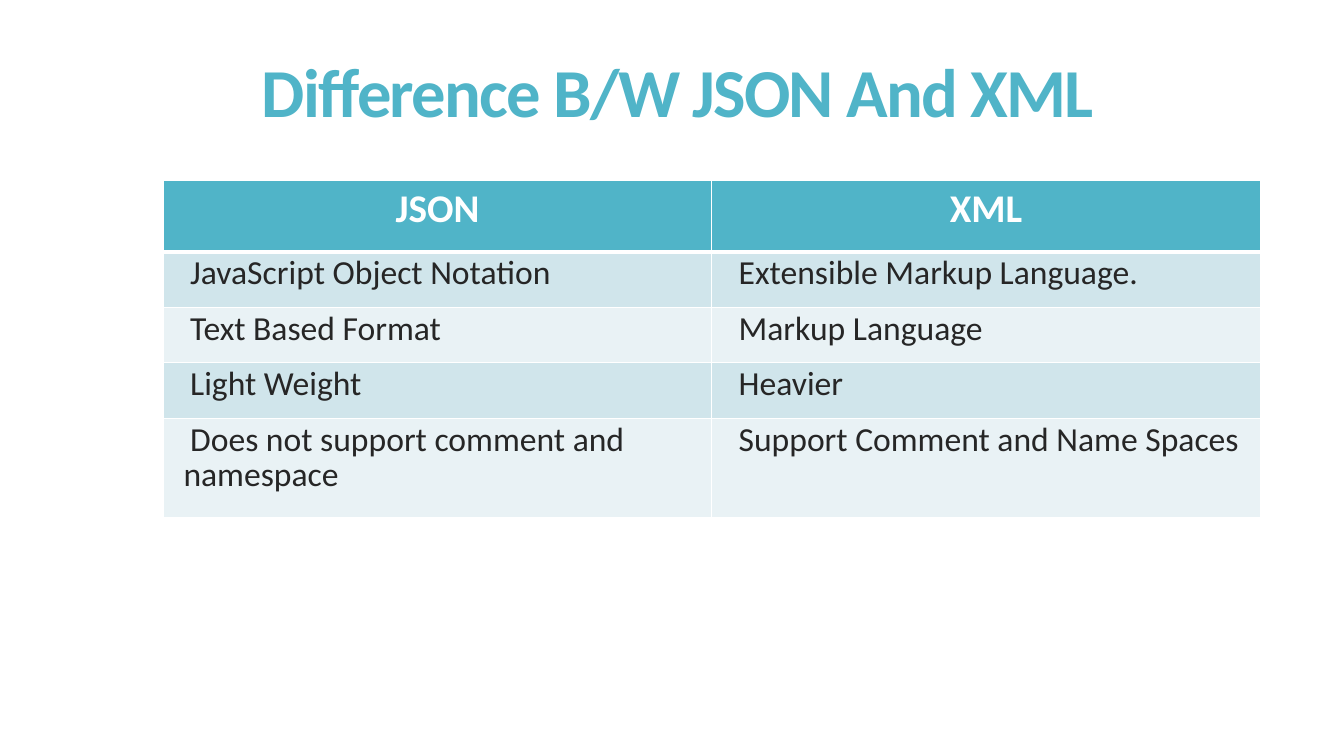
from dataclasses import dataclass

from lxml import etree
from pptx import Presentation
from pptx.dml.color import RGBColor
from pptx.enum import text
from pptx.oxml import ns
from pptx.util import Inches, Pt

TEAL = RGBColor(0x50, 0xB4, 0xC8)
BAND_DARK = RGBColor(0xD0, 0xE5, 0xEB)
BAND_LIGHT = RGBColor(0xE9, 0xF2, 0xF5)
WHITE = RGBColor(0xFF, 0xFF, 0xFF)
INK = RGBColor(0x26, 0x26, 0x26)
FONT = "Calibri"
COLUMN_WIDTH = 5.44


@dataclass
class Row:
    json: str
    xml: str
    height: float = 0.55


HEADER = Row("JSON", "XML", 0.71)
DIFFERENCES = [
    Row("JavaScript Object Notation", "Extensible Markup Language."),
    Row("Text Based Format", "Markup Language"),
    Row("Light Weight", "Heavier"),
    Row("Does not support comment and namespace",
        "Support Comment and Name Spaces", 0.98),
]


def add_run(p, words: str, size: float, color: RGBColor, bold: bool):
    r = p.add_run()
    r.text = words
    r.font.name = FONT
    r.font.size = Pt(size)
    r.font.bold = bold
    r.font.color.rgb = color
    return r


def add_title(slide, words: str) -> None:
    box = slide.shapes.add_textbox(Inches(0.83), Inches(0.43), Inches(11.78), Inches(1.05))
    tf = box.text_frame
    tf.word_wrap = True
    tf.vertical_anchor = text.MSO_ANCHOR.MIDDLE
    p = tf.paragraphs[0]
    p.alignment = text.PP_ALIGN.CENTER
    p.line_spacing = 0.85
    r = add_run(p, words, 49, TEAL, True)
    r.font._element.set("spc", "-120")


def set_borders(cell, top: float, bottom: float) -> None:
    """Draw white cell borders; call before filling, as the schema puts lines first."""
    tc_pr = cell._tc.get_or_add_tcPr()
    for side, width in (("L", 1), ("R", 1), ("T", top), ("B", bottom)):
        line = etree.SubElement(tc_pr, ns.qn(f"a:ln{side}"), w=str(Pt(width)))
        fill = etree.SubElement(line, ns.qn("a:solidFill"))
        etree.SubElement(fill, ns.qn("a:srgbClr"), val=str(WHITE))


def format_body(p) -> None:
    """Set the tight spacing and the hanging indent behind a blank bullet."""
    p.line_spacing = 0.85
    p.space_before = Pt(13)
    p_pr = p._p.get_or_add_pPr()
    p_pr.set("marL", str(Inches(0.1)))
    p_pr.set("indent", str(Inches(-0.1)))
    etree.SubElement(p_pr, ns.qn("a:buChar"), char=" ")


def fill_cell(cell, words: str, index: int) -> None:
    is_header = index == 0
    set_borders(cell, top=3 if index == 1 else 1, bottom=3 if is_header else 1)
    cell.fill.solid()
    p = cell.text_frame.paragraphs[0]
    if is_header:
        cell.fill.fore_color.rgb = TEAL
        p.alignment = text.PP_ALIGN.CENTER
        add_run(p, words, 28, WHITE, True)
    else:
        cell.fill.fore_color.rgb = BAND_DARK if index % 2 else BAND_LIGHT
        format_body(p)
        add_run(p, words, 24, INK, False)


def add_comparison(slide, rows: list[Row]) -> None:
    height = sum(row.height for row in rows)
    table = slide.shapes.add_table(len(rows), 2, Inches(1.62), Inches(1.79),
                                   Inches(2 * COLUMN_WIDTH), Inches(height)).table
    for column in table.columns:
        column.width = Inches(COLUMN_WIDTH)
    for i, row in enumerate(rows):
        table.rows[i].height = Inches(row.height)
        for j, words in enumerate((row.json, row.xml)):
            fill_cell(table.cell(i, j), words, i)


def main() -> None:
    prs = Presentation()
    prs.slide_width, prs.slide_height = Inches(13.33), Inches(7.5)
    slide = prs.slides.add_slide(prs.slide_layouts[6])
    add_title(slide, "Difference B/W JSON And XML")
    add_comparison(slide, [HEADER, *DIFFERENCES])
    prs.save("out.pptx")


if __name__ == "__main__":
    main()
